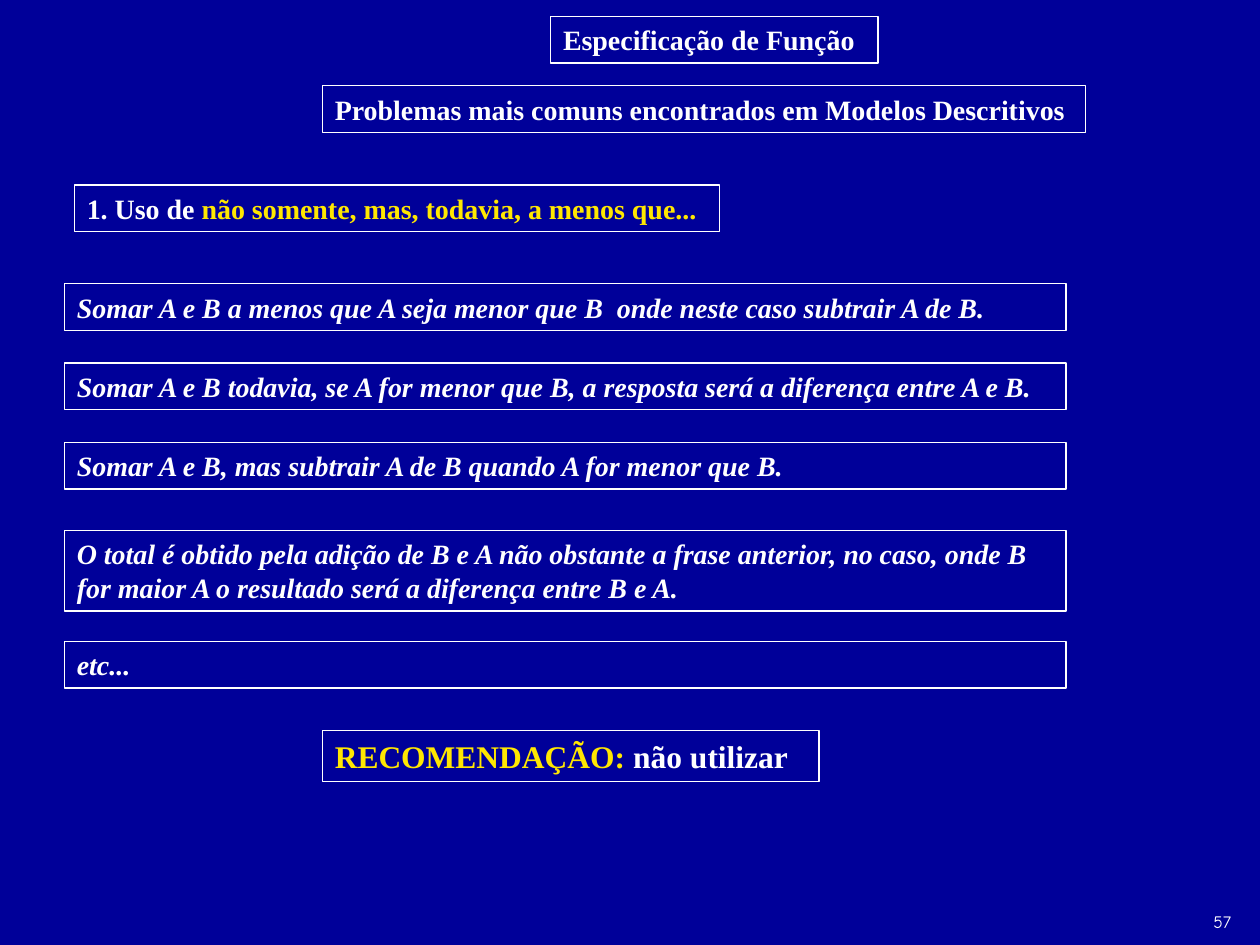
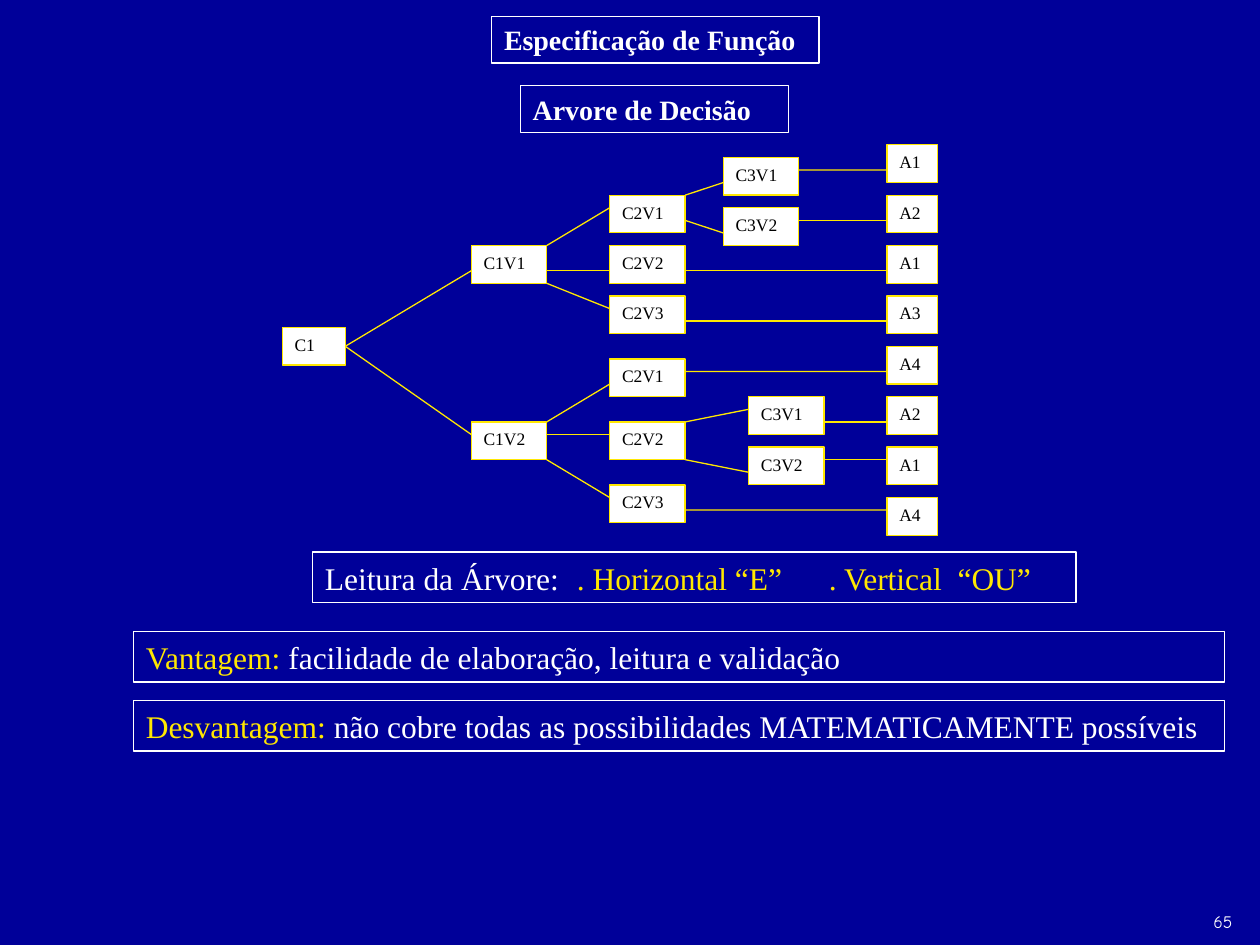
"""Build two slides on function specification: common wording problems and a decision tree."""
import dataclasses
from typing import Optional

import lxml.etree
import pptx
import pptx.dml.color
import pptx.enum.shapes
import pptx.enum.text
import pptx.oxml.ns
import pptx.presentation
import pptx.shapes.autoshape
import pptx.shapes.connector
import pptx.slide
import pptx.util

Cm = pptx.util.Cm
Pt = pptx.util.Pt

NAVY, WHITE, YELLOW, BLACK = "000099", "FFFFFF", "FFE701", "000000"
SERIF, COMIC = "Times New Roman", "Comic Neue"
EDGE = Pt(0.75)
TITLE = "Especificação de Função"

TOP, BOTTOM, LAST_ROW = 2.92, 10.03, 7
STEP = (BOTTOM - TOP) / LAST_ROW
NODE_HEIGHT = 0.76
COLUMNS = {
    "root": (5.69, 1.27),
    "first": (9.5, 1.52),
    "second": (12.29, 1.52),
    "third": (14.58, 1.52),
    "third low": (15.09, 1.52),
    "action": (17.88, 1.02),
}


@dataclasses.dataclass(frozen=True)
class Run:
    text: str
    color: str = WHITE


@dataclasses.dataclass(frozen=True)
class Box:
    left: float
    top: float
    width: float
    height: float
    runs: tuple[Run, ...]
    size: float = 16
    bold: bool = False
    italic: bool = False
    font: str = SERIF
    fill: Optional[str] = None
    edge: Optional[str] = WHITE
    tabs: tuple[float, ...] = ()


@dataclasses.dataclass(frozen=True)
class Node:
    key: str
    text: str
    column: str
    row: float
    parent: str = ""
    leave: float = 0
    enter: float = 0


NODES = (
    Node("c1", "C1", "root", 3.625),
    Node("v1", "C1V1", "first", 2, "c1", 1.5, 2),
    Node("v2", "C1V2", "first", 5.5, "c1", 1.5, 1),
    Node("v1a", "C2V1", "second", 1, "v1", 0, 1),
    Node("v1b", "C2V2", "second", 2, "v1", 2, 2),
    Node("v1c", "C2V3", "second", 3, "v1", 3, 1),
    Node("v2a", "C2V1", "second", 4.25, "v2", 0, 2),
    Node("v2b", "C2V2", "second", 5.5, "v2", 1, 1),
    Node("v2c", "C2V3", "second", 6.75, "v2", 3, 1),
    Node("v1a1", "C3V1", "third", 0.25, "v1a", 0, 2),
    Node("v1a2", "C3V2", "third", 1.25, "v1a", 2, 2),
    Node("v2b1", "C3V1", "third low", 5, "v2b", 0, 1),
    Node("v2b2", "C3V2", "third low", 6, "v2b", 3, 2),
    Node("act0", "A1", "action", 0, "v1a1", 1, 2),
    Node("act1", "A2", "action", 1, "v1a2", 1, 2),
    Node("act2", "A1", "action", 2, "v1b", 2, 2),
    Node("act3", "A3", "action", 3, "v1c", 2, 2),
    Node("act4", "A4", "action", 4, "v2a", 1, 2),
    Node("act5", "A2", "action", 5, "v2b1", 2, 2),
    Node("act6", "A1", "action", 6, "v2b2", 1, 1),
    Node("act7", "A4", "action", 7, "v2c", 2, 1),
)

PHRASES = (
    (5.72, 0.94, "Somar A e B a menos que A seja menor que B  onde neste caso subtrair A de B."),
    (7.32, 0.94, "Somar A e B todavia, se A for menor que B, a resposta será a diferença entre A e B."),
    (8.92, 0.94, "Somar A e B, mas subtrair A de B quando A for menor que B."),
    (10.69, 1.63, "O total é obtido pela adição de B e A não obstante a frase anterior, no caso, "
                  "onde B for maior A o resultado será a diferença entre B e A."),
    (12.93, 0.94, "etc..."),
)

PROBLEMS = (
    Box(6.5, 1.73, 15.39, 0.94,
        (Run("Problemas mais comuns encontrados em Modelos Descritivos"),), bold=True),
    Box(1.5, 3.73, 13, 0.94,
        (Run("1. Uso de "), Run("não somente, mas, todavia, a menos que...", YELLOW)), bold=True),
    *(Box(1.3, top, 20.19, height, (Run(text),), bold=True, italic=True)
      for top, height, text in PHRASES),
    Box(6.5, 14.73, 10.01, 1.02,
        (Run("RECOMENDAÇÃO:", YELLOW), Run(" não utilizar")), 18, bold=True),
)

READING = (
    Box(10.49, 1.73, 5.41, 0.94, (Run("Arvore de Decisão"),), bold=True),
    Box(6.3, 11.13, 15.39, 1.02,
        (Run("Leitura da Árvore: \t"), Run(". Horizontal “E”\t. Vertical  “OU”", YELLOW)),
        18, tabs=(5.08, 10.16)),
    Box(2.69, 12.73, 22, 1.02,
        (Run("Vantagem: ", YELLOW), Run("facilidade de elaboração, leitura e validação")), 18),
    Box(2.69, 14.12, 22, 1.02,
        (Run("Desvantagem:", YELLOW),
         Run(" não cobre todas as possibilidades MATEMATICAMENTE possíveis")), 18),
)


def paint(color: str) -> pptx.dml.color.RGBColor:
    """Turn a hex string into a colour."""
    return pptx.dml.color.RGBColor.from_string(color)


def write(shape: pptx.shapes.autoshape.Shape, box: Box) -> None:
    """Put the runs of a box into a shape."""
    frame = shape.text_frame
    frame.word_wrap = True
    frame.auto_size = pptx.enum.text.MSO_AUTO_SIZE.NONE
    frame.vertical_anchor = pptx.enum.text.MSO_ANCHOR.TOP
    frame.margin_left = frame.margin_right = Cm(0.25)
    frame.margin_top = frame.margin_bottom = Cm(0.13)
    para = frame.paragraphs[0]
    para.alignment = pptx.enum.text.PP_ALIGN.LEFT
    if box.tabs:
        qn = pptx.oxml.ns.qn
        stops = lxml.etree.SubElement(para._p.get_or_add_pPr(), qn("a:tabLst"))
        for place in box.tabs:
            lxml.etree.SubElement(stops, qn("a:tab"), pos=str(int(Cm(place))), algn="l")
    for part in box.runs:
        run = para.add_run()
        run.text = part.text
        run.font.name = box.font
        run.font.size = Pt(box.size)
        run.font.bold = box.bold
        run.font.italic = box.italic
        run.font.color.rgb = paint(part.color)


def dress(shape: pptx.shapes.autoshape.Shape, box: Box) -> None:
    """Place, outline, fill and letter a shape as its box says."""
    shape.left, shape.top = Cm(box.left), Cm(box.top)
    shape.width, shape.height = Cm(box.width), Cm(box.height)
    shape.shadow.inherit = False
    if box.fill:
        shape.fill.solid()
        shape.fill.fore_color.rgb = paint(box.fill)
    else:
        shape.fill.background()
    if box.edge:
        shape.line.color.rgb = paint(box.edge)
        shape.line.width = EDGE
    else:
        shape.line.fill.background()
    write(shape, box)


def draw(slide: pptx.slide.Slide, box: Box) -> pptx.shapes.autoshape.Shape:
    """Add a rectangle for a box."""
    shape = slide.shapes.add_shape(
        pptx.enum.shapes.MSO_SHAPE.RECTANGLE,
        Cm(box.left), Cm(box.top), Cm(box.width), Cm(box.height))
    dress(shape, box)
    return shape


def start(deck: pptx.presentation.Presentation, left: float, number: str) -> pptx.slide.Slide:
    """Add a slide with its title and page number."""
    slide = deck.slides.add_slide(deck.slide_layouts[5])
    dress(slide.shapes.title, Box(left, 0.33, 6.6, 0.94, (Run(TITLE),), bold=True))
    page = slide.shapes.add_textbox(Cm(24.21), Cm(18.24), Cm(1.19), Cm(0.69))
    write(page, Box(24.21, 18.24, 1.19, 0.69, (Run(number),), 10, font=COMIC))
    return slide


def level(node: Node, thirds: float) -> float:
    """Give the height on the slide of a point on a node's side."""
    return TOP + node.row * STEP + NODE_HEIGHT * thirds / 3


def link(slide: pptx.slide.Slide, origin: Node, target: Node) -> pptx.shapes.connector.Connector:
    """Draw the line from a parent node to its child."""
    left, width = COLUMNS[origin.column]
    line = slide.shapes.add_connector(
        pptx.enum.shapes.MSO_CONNECTOR.STRAIGHT,
        Cm(left + width), Cm(level(origin, target.leave)),
        Cm(COLUMNS[target.column][0]), Cm(level(target, target.enter)))
    line.line.color.rgb = paint(YELLOW)
    line.line.width = EDGE
    lxml.etree.SubElement(line._element.spPr, pptx.oxml.ns.qn("a:effectLst"))
    return line


def grow(slide: pptx.slide.Slide) -> None:
    """Draw the decision tree."""
    shapes, known = {}, {}
    for node in NODES:
        left, width = COLUMNS[node.column]
        known[node.key] = node
        shapes[node.key] = draw(slide, Box(
            left, level(node, 0), width, NODE_HEIGHT, (Run(node.text, BLACK),),
            10, fill=WHITE, edge=YELLOW))
        if node.parent:
            line = link(slide, known[node.parent], node)
            if node.leave == 1.5:
                line.begin_connect(shapes[node.parent], 3)


def main() -> None:
    """Build and save the deck."""
    deck = pptx.Presentation()
    deck.slide_width, deck.slide_height = Cm(25.4), Cm(19.05)
    ground = deck.slide_master.background.fill
    ground.solid()
    ground.fore_color.rgb = paint(NAVY)

    common = start(deck, 11.1, "57")
    for box in PROBLEMS:
        draw(common, box)

    tree = start(deck, 9.91, "65")
    grow(tree)
    for box in READING:
        draw(tree, box)

    deck.save("out.pptx")


if __name__ == "__main__":
    main()
